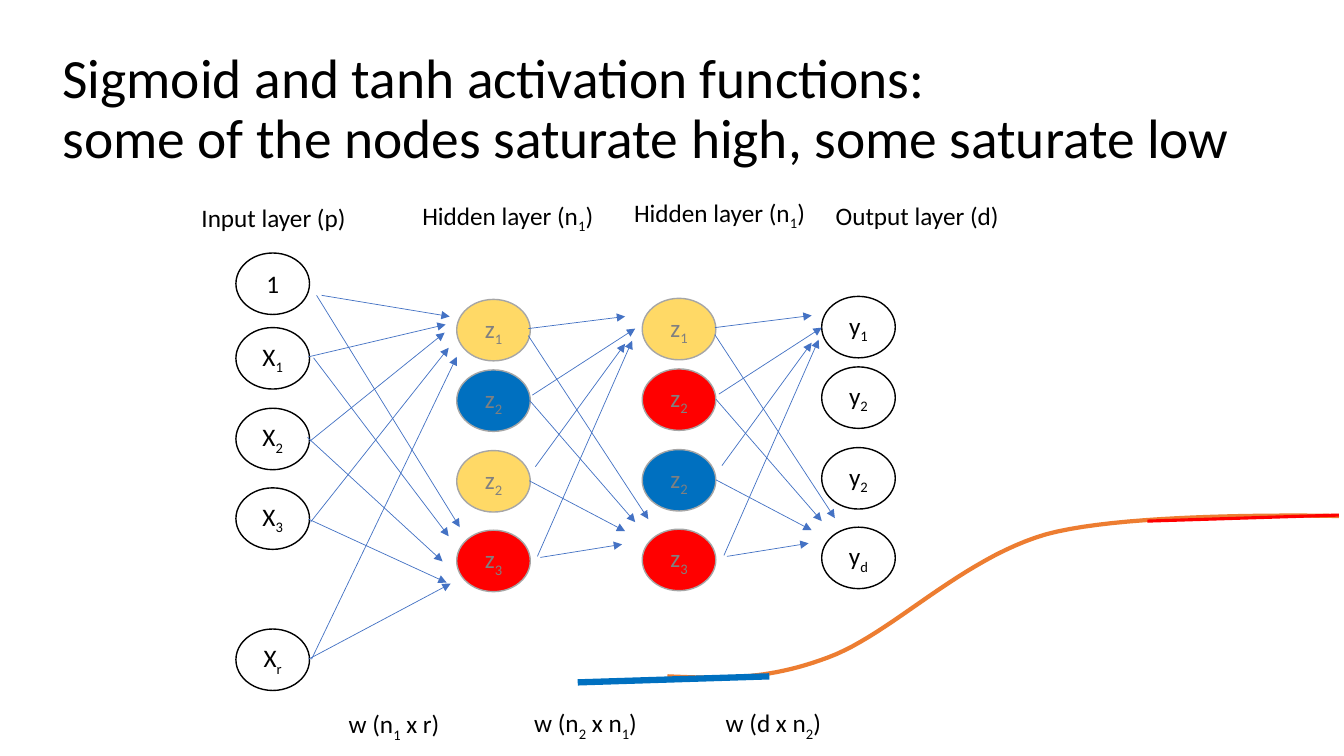
from dataclasses import dataclass

from lxml import etree
from pptx import Presentation, util as u
from pptx.dml.color import RGBColor
from pptx.enum import shapes, text
from pptx.oxml.ns import qn


@dataclass(frozen=True)
class Theme:
    font: str = "Calibri"
    title_size: float = 39.6
    body_size: float = 18
    ink: str = "000000"
    muted: str = "808080"
    outline: str = "A6A6A6"
    arrow: str = "4472C4"
    curve: str = "ED7D31"
    middle: str = "FFD966"
    low: str = "0070C0"
    high: str = "FF0000"


T = Theme()
WIDTH, HEIGHT = 13.33, 7.5
NODE_W, NODE_H = 0.73, 0.61

# Braces mark subscripts.
TITLE = "Sigmoid and tanh activation functions:\vsome of the nodes saturate high, some saturate low"
INPUT_ROWS = (0, 0.74, 1.54, 2.33, 3.73)
INNER_ROWS = (0, 0.7, 1.5, 2.29)
LAYERS = [  # left, top, row offsets, node labels, fills
    (2.34, 2.51, INPUT_ROWS, ["1", "X{1}", "X{2}", "X{3}", "X{r}"], None),
    (4.53, 2.97, INNER_ROWS, ["z{1}", "z{2}", "z{2}", "z{3}"],
     [T.middle, T.low, T.middle, T.high]),
    (6.37, 2.96, INNER_ROWS, ["z{1}", "z{2}", "z{2}", "z{3}"],
     [T.middle, T.high, T.low, T.high]),
    (8.15, 2.94, INNER_ROWS, ["y{1}", "y{2}", "y{2}", "y{d}"], None),
]
LABELS = [  # left, top, width, wording
    (1.9, 1.96, 2.3, "Input layer (p)"),
    (4.09, 1.94, 2.3, "Hidden layer (n{1})"),
    (6.19, 1.91, 2.3, "Hidden layer (n{1})"),
    (8.19, 1.94, 2.3, "Output layer (d)"),
    (3.36, 6.98, 1.43, "w (n{1} x r)"),
    (5.2, 6.97, 1.47, "w (n{2} x n{1})"),
    (7.1, 6.97, 1.47, "w (d x n{2})"),
]
INPUT_ARROWS = [  # start x, start y, end x, end y
    (3.19, 2.93, 4.46, 3.14), (3.06, 3.54, 4.42, 3.22),
    (3.07, 4.38, 4.41, 3.3), (3.08, 5.18, 4.45, 3.45),
    (3.09, 6.54, 4.53, 3.54), (3.06, 6.54, 4.47, 5.79),
    (3.06, 5.15, 4.43, 5.78), (3.05, 4.34, 4.39, 5.57),
    (3.11, 3.55, 4.45, 5.32), (3.14, 2.93, 4.56, 5.23),
]
INNER_ARROWS = [
    (5.24, 3.33, 6.43, 5.15), (5.25, 4.77, 6.2, 5.27),
    (5.25, 3.97, 6.3, 5.18), (5.36, 5.53, 6.17, 5.4),
    (5.33, 5.52, 6.27, 3.38), (5.31, 4.63, 6.2, 3.41),
    (5.28, 3.92, 6.3, 3.26), (5.24, 3.26, 6.2, 3.14),
]
INNER_SHIFTS = [(0, 0), (1.85, -0.01)]
SIGMOID = [  # each Bézier segment shares its last point with the next
    (6.62, 6.71), (7.11, 6.73), (7.59, 6.76), (8.22, 6.52), (8.84, 6.29),
    (9.54, 5.54), (10.38, 5.3), (11.22, 5.07), (13.28, 5.12), (13.28, 5.12),
]
STEPS = 24
SATURATED = [
    (11.38, 5.17, 13.28, 5.11, T.high, 2.25),
    (5.73, 6.77, 7.63, 6.71, T.low, 4.5),
]


def rgb(value):
    return RGBColor.from_string(value)


def write(tf, wording, size=T.body_size, color=T.ink, align=text.PP_ALIGN.LEFT):
    p = tf.paragraphs[0]
    p.alignment = align
    p.font.name, p.font.size = T.font, u.Pt(size)
    p.font.color.rgb = rgb(color)
    for i, part in enumerate(wording.replace("}", "{").split("{")):
        if part:
            r = p.add_run()
            r.text = part
            if i % 2:
                r._r.get_or_add_rPr().set("baseline", "-25000")
    return p


def add_title(slide):
    title = slide.shapes.title
    title.left, title.top = u.Inches(0.52), u.Inches(0.37)
    title.width, title.height = u.Inches(12.29), u.Inches(1.45)
    tf = title.text_frame
    tf.text = TITLE
    tf.auto_size = text.MSO_AUTO_SIZE.NONE
    tf.vertical_anchor = text.MSO_ANCHOR.MIDDLE
    p = write(tf, "", T.title_size)
    p.line_spacing = 0.9


def add_node(slide, left, top, wording, fill):
    sp = slide.shapes.add_shape(shapes.MSO_SHAPE.OVAL, u.Inches(left), u.Inches(top),
                                u.Inches(NODE_W), u.Inches(NODE_H))
    sp.shadow.inherit = False
    sp.line.width = u.Pt(1)
    sp.line.color.rgb = rgb(T.outline if fill else T.ink)
    if fill:
        sp.fill.solid()
        sp.fill.fore_color.rgb = rgb(fill)
    else:
        sp.fill.background()
    tf = sp.text_frame
    tf.vertical_anchor = text.MSO_ANCHOR.MIDDLE
    write(tf, wording, color=T.muted if fill else T.ink, align=text.PP_ALIGN.CENTER)


def add_line(slide, x1, y1, x2, y2, color, width, arrow=False):
    line = slide.shapes.add_connector(shapes.MSO_CONNECTOR.STRAIGHT,
                                      *map(u.Inches, (x1, y1, x2, y2)))
    line.line.color.rgb = rgb(color)
    line.line.width = u.Pt(width)
    if arrow:
        etree.SubElement(line.line._get_or_add_ln(), qn("a:tailEnd"), type="triangle")
    etree.SubElement(line._element.spPr, qn("a:effectLst"))


def add_label(slide, left, top, width, wording):
    tf = slide.shapes.add_textbox(*map(u.Inches, (left, top, width, 0.4))).text_frame
    tf.word_wrap = True
    tf.auto_size = text.MSO_AUTO_SIZE.SHAPE_TO_FIT_TEXT
    write(tf, wording)


def bezier(a, b, c, d, t):
    s = 1 - t
    return tuple(s**3 * i + 3 * s * s * t * j + 3 * s * t * t * k + t**3 * m
                 for i, j, k, m in zip(a, b, c, d))


def add_sigmoid(slide):
    """Draw the curve in whole EMU, as freeform points are rounded to integers."""
    knots = [tuple(map(u.Inches, point)) for point in SIGMOID]
    points = [bezier(*knots[i:i + 4], step / STEPS)
              for i in range(0, len(knots) - 1, 3) for step in range(1, STEPS + 1)]
    outline = slide.shapes.build_freeform(*knots[0])
    outline.add_line_segments(points, close=False)
    sp = outline.convert_to_shape()
    sp.shadow.inherit = False
    sp.fill.background()
    sp.line.color.rgb = rgb(T.curve)
    sp.line.width = u.Pt(3)


def main():
    prs = Presentation()
    prs.slide_width, prs.slide_height = u.Inches(WIDTH), u.Inches(HEIGHT)
    slide = prs.slides.add_slide(prs.slide_layouts.get_by_name("Title Only"))
    add_title(slide)
    for left, top, rows, names, fills in LAYERS:
        for row, name, fill in zip(rows, names, fills or [None] * len(names)):
            add_node(slide, left, top + row, name, fill)
    arrows = INPUT_ARROWS + [(x1 + dx, y1 + dy, x2 + dx, y2 + dy)
                             for dx, dy in INNER_SHIFTS
                             for x1, y1, x2, y2 in INNER_ARROWS]
    for arrow in arrows:
        add_line(slide, *arrow, T.arrow, 0.5, arrow=True)
    for label in LABELS:
        add_label(slide, *label)
    add_sigmoid(slide)
    for stretch in SATURATED:
        add_line(slide, *stretch)
    prs.save("out.pptx")


if __name__ == "__main__":
    main()
